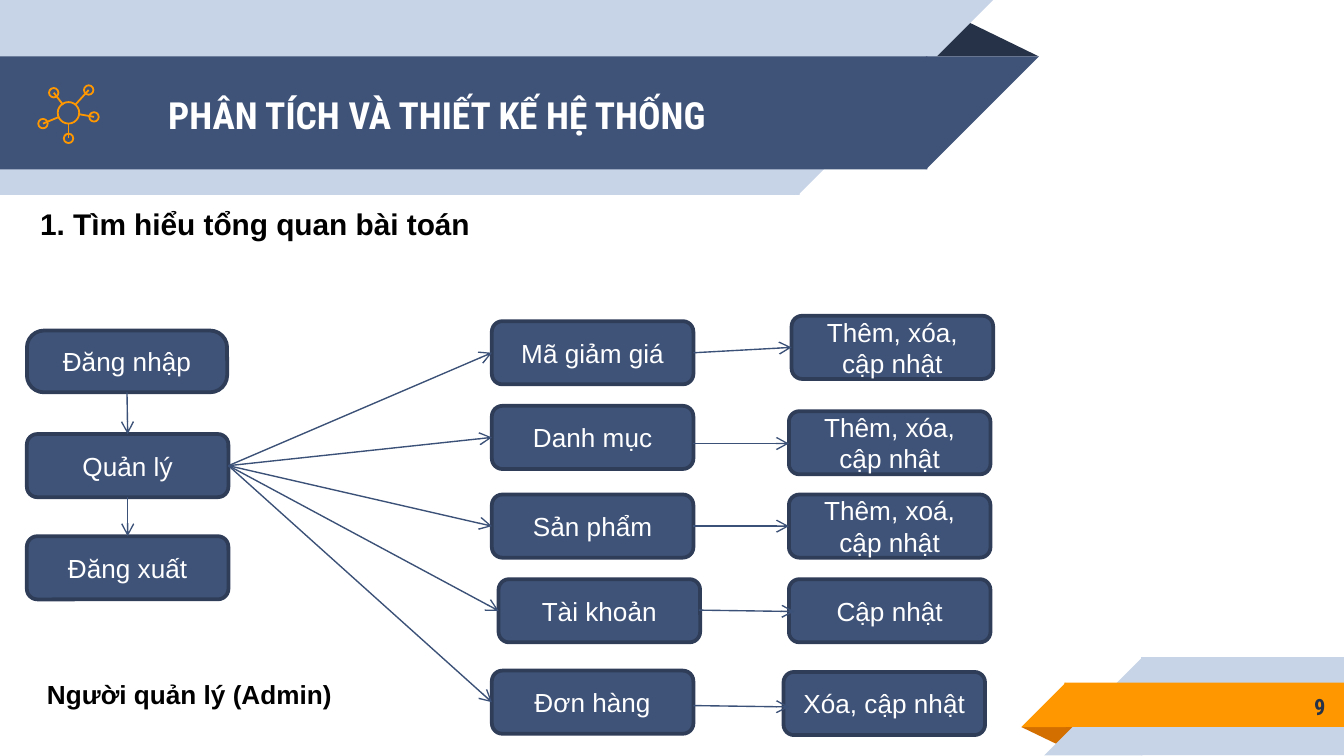
from lxml import etree
from pptx import Presentation
from pptx import util as u
from pptx.dml.color import RGBColor
from pptx.enum import shapes, text
from pptx.oxml import ns

Kind = shapes.MSO_SHAPE
Align = text.PP_ALIGN
Anchor = text.MSO_ANCHOR

NAVY, DARK, PALE = "3F5378", "263248", "C7D3E6"
ORANGE, BURNT = "FF9800", "D26F00"
BORDER, ARROW = "2F3D59", "3C5177"
WHITE, BLACK = "FFFFFF", "000000"
HEADING_FONT, BODY_FONT = "Roboto Condensed", "Arial"
TOP, LEFT, BOTTOM, RIGHT = range(4)
SLIDE_WIDTH = 10
SEAM = 0.01  # overlap that hides the joint inside a band


def color(value):
    return RGBColor.from_string(value)


def add_plain_shape(slide, kind, left, top, width, height, fill=None,
                    line=None, line_width=1, rotation=0):
    shape = slide.shapes.add_shape(kind, u.Inches(left), u.Inches(top),
                                   u.Inches(width), u.Inches(height))
    shape.shadow.inherit = False
    shape.rotation = rotation
    if fill:
        shape.fill.solid()
        shape.fill.fore_color.rgb = color(fill)
    else:
        shape.fill.background()
    if line:
        shape.line.color.rgb = color(line)
        shape.line.width = u.Pt(line_width)
    else:
        shape.line.fill.background()
    return shape


def write(frame, content, size, font, fill, bold=False, align=Align.LEFT):
    frame.word_wrap = True
    paragraph = frame.paragraphs[0]
    paragraph.alignment = align
    run = paragraph.add_run()
    run.text = content
    run.font.size = u.Pt(size)
    run.font.name = font
    run.font.bold = bold
    run.font.color.rgb = color(fill)


def add_text(slide, left, top, width, height, content, size, font, fill,
             align=Align.LEFT, anchor=Anchor.TOP, margin_left=0.1):
    box = slide.shapes.add_textbox(u.Inches(left), u.Inches(top),
                                   u.Inches(width), u.Inches(height))
    box.text_frame.vertical_anchor = anchor
    box.text_frame.margin_left = u.Inches(margin_left)
    write(box.text_frame, content, size, font, fill, True, align)


def add_line(slide, start, end, line, width):
    connector = slide.shapes.add_connector(
        shapes.MSO_CONNECTOR.STRAIGHT, u.Inches(start[0]), u.Inches(start[1]),
        u.Inches(end[0]), u.Inches(end[1]))
    connector.line.color.rgb = color(line)
    connector.line.width = u.Pt(width)
    etree.SubElement(connector._element.spPr, ns.qn("a:effectLst"))
    return connector


def add_arrow(slide, start, end):
    connector = add_line(slide, start, end, ARROW, 0.75)
    etree.SubElement(connector.line._get_or_add_ln(), ns.qn("a:tailEnd"),
                     type="arrow")
    return connector


def join(slide, source, source_side, target, target_side):
    """Draw an arrow between the middles of two node sides."""
    connector = add_arrow(slide, (0, 0), (1, 1))
    connector.begin_connect(source, source_side)
    connector.end_connect(target, target_side)


def add_node(slide, left, top, label, width=1.5, height=0.47, corner=0.167):
    node = add_plain_shape(slide, Kind.ROUNDED_RECTANGLE, left, top, width,
                           height, NAVY, BORDER, 2)
    node.adjustments[0] = corner
    node.text_frame.vertical_anchor = Anchor.MIDDLE
    write(node.text_frame, label, 14, BODY_FONT, WHITE, align=Align.CENTER)
    return node


def add_header_band(slide, top, width, height, fill):
    """Band from the left edge, its right end slanting inwards."""
    add_plain_shape(slide, Kind.RECTANGLE, 0, top, width + SEAM, height, fill)
    add_plain_shape(slide, Kind.RIGHT_TRIANGLE, width, top, height, height,
                    fill, rotation=90)


def add_footer_band(slide, left, top, height, fill):
    """Band to the right edge, its left end slanting outwards."""
    add_plain_shape(slide, Kind.RECTANGLE, left - SEAM, top,
                    SLIDE_WIDTH - left + SEAM, height, fill)
    add_plain_shape(slide, Kind.RIGHT_TRIANGLE, left - height, top, height,
                    height, fill, rotation=270)


def add_fold(slide, left, top, width, height, fill, rotation=0):
    fold = add_plain_shape(slide, Kind.ISOSCELES_TRIANGLE, left, top, width,
                           height, fill, rotation=rotation)
    fold.adjustments[0] = 0.324


def add_ring(slide, x, y, diameter):
    add_plain_shape(slide, Kind.OVAL, x - diameter / 2, y - diameter / 2,
                    diameter, diameter, line=ORANGE, line_width=0.96)


def add_network_icon(slide):
    add_ring(slide, 0.51, 0.84, 0.16)
    spokes = [((0.66, 0.67), (0.56, 0.78)), ((0.4, 0.69), (0.47, 0.78)),
              ((0.32, 0.92), (0.44, 0.87)), ((0.51, 1.03), (0.51, 0.92)),
              ((0.7, 0.87), (0.59, 0.85))]
    for satellite, hub_edge in spokes:
        add_ring(slide, *satellite, 0.07)
        add_line(slide, satellite, hub_edge, ORANGE, 0.96)


def add_decoration(slide):
    add_fold(slide, 6.88, 0.14, 0.85, 0.28, DARK)
    add_header_band(slide, 0, 5.94, 1.45, PALE)
    add_header_band(slide, 0.42, 6.89, 0.84, NAVY)
    add_fold(slide, 7.6, 5.41, 0.43, 0.14, BURNT, rotation=180)
    add_footer_band(slide, 8.5, 4.89, 0.73, PALE)
    add_footer_band(slide, 7.93, 5.08, 0.33, ORANGE)
    add_network_icon(slide)


def add_flow(slide):
    login = add_node(slide, 0.2, 2.46, "Đăng nhập", 1.49, 0.46, 0.276)
    manage = add_node(slide, 0.2, 3.23, "Quản lý")
    logout = add_node(slide, 0.2, 3.99, "Đăng xuất")
    join(slide, login, BOTTOM, manage, TOP)
    join(slide, manage, BOTTOM, logout, TOP)

    # Subject node, action node, and the ends of an arrow off the side middles
    branches = [
        ((3.66, 2.39, "Mã giảm giá"), (5.89, 2.35, "Thêm, xóa, cập nhật"),
         None),
        ((3.66, 3.02, "Danh mục"), (5.87, 3.06, "Thêm, xóa, cập nhật"),
         ((5.16, 3.3), (5.87, 3.3))),
        ((3.66, 3.68, "Sản phẩm"), (5.87, 3.68, "Thêm, xoá, cập nhật"),
         None),
        ((3.71, 4.31, "Tài khoản"), (5.87, 4.31, "Cập nhật"),
         ((5.2, 4.54), (5.91, 4.55))),
        ((3.66, 4.99, "Đơn hàng"), (5.83, 5, "Xóa, cập nhật"),
         ((5.16, 5.25), (5.87, 5.26))),
    ]
    for subject, action, arrow in branches:
        subject_node = add_node(slide, *subject)
        action_node = add_node(slide, *action)
        join(slide, manage, RIGHT, subject_node, LEFT)
        if arrow:
            add_arrow(slide, *arrow)
        else:
            join(slide, subject_node, RIGHT, action_node, LEFT)


def main():
    presentation = Presentation()
    presentation.slide_width = u.Inches(SLIDE_WIDTH)
    presentation.slide_height = presentation.slide_width * 9 // 16
    slide = presentation.slides.add_slide(presentation.slide_layouts[6])

    add_decoration(slide)
    add_text(slide, 0.89, 0.43, 5.75, 0.84, "PHÂN TÍCH VÀ THIẾT KẾ HỆ THỐNG",
             20, HEADING_FONT, WHITE, anchor=Anchor.MIDDLE, margin_left=0.36)
    add_text(slide, 8.33, 5.08, 1.63, 0.35, "9", 12, HEADING_FONT, DARK,
             Align.RIGHT, Anchor.MIDDLE)
    add_text(slide, 0.2, 1.48, 5.64, 0.37, "1. Tìm hiểu tổng quan bài toán",
             16, BODY_FONT, BLACK)
    add_flow(slide)
    add_text(slide, -0.2, 5, 3.22, 0.34, "Người quản lý (Admin)", 14,
             BODY_FONT, BLACK, Align.CENTER)
    presentation.save("out.pptx")


if __name__ == "__main__":
    main()
